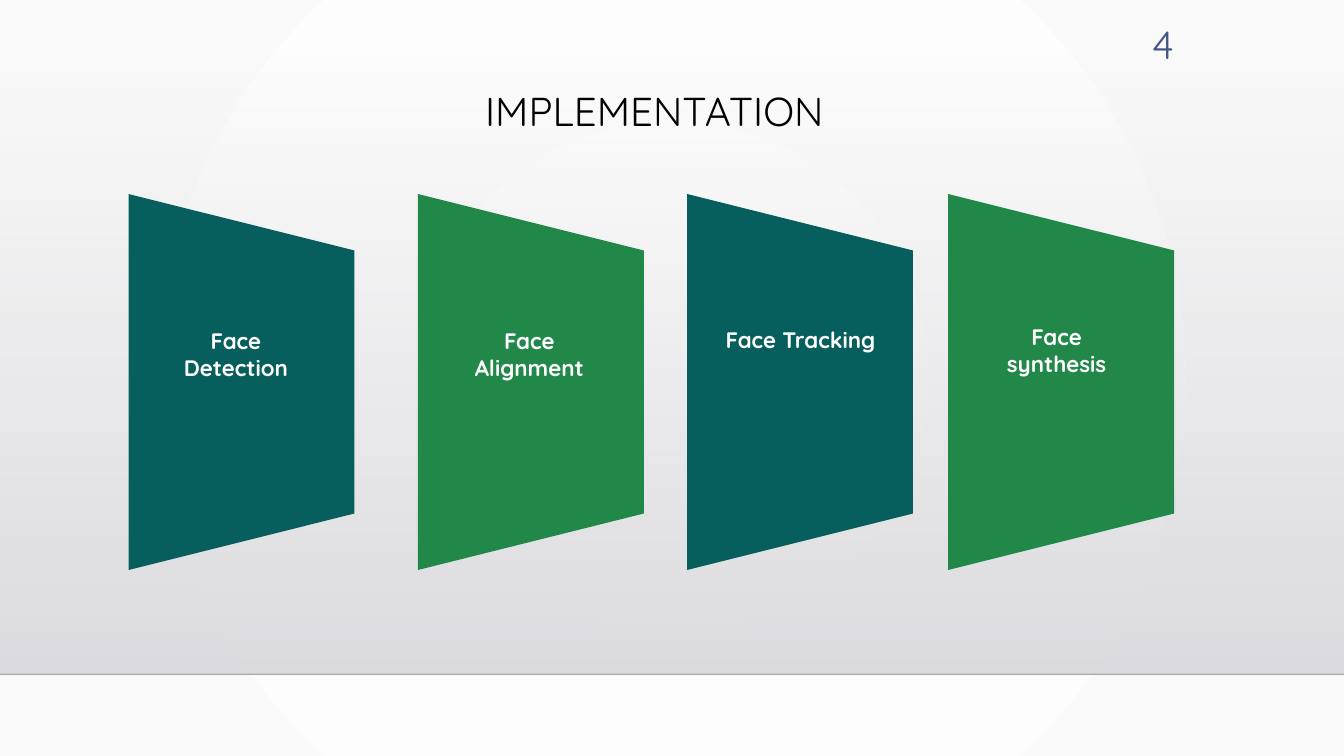
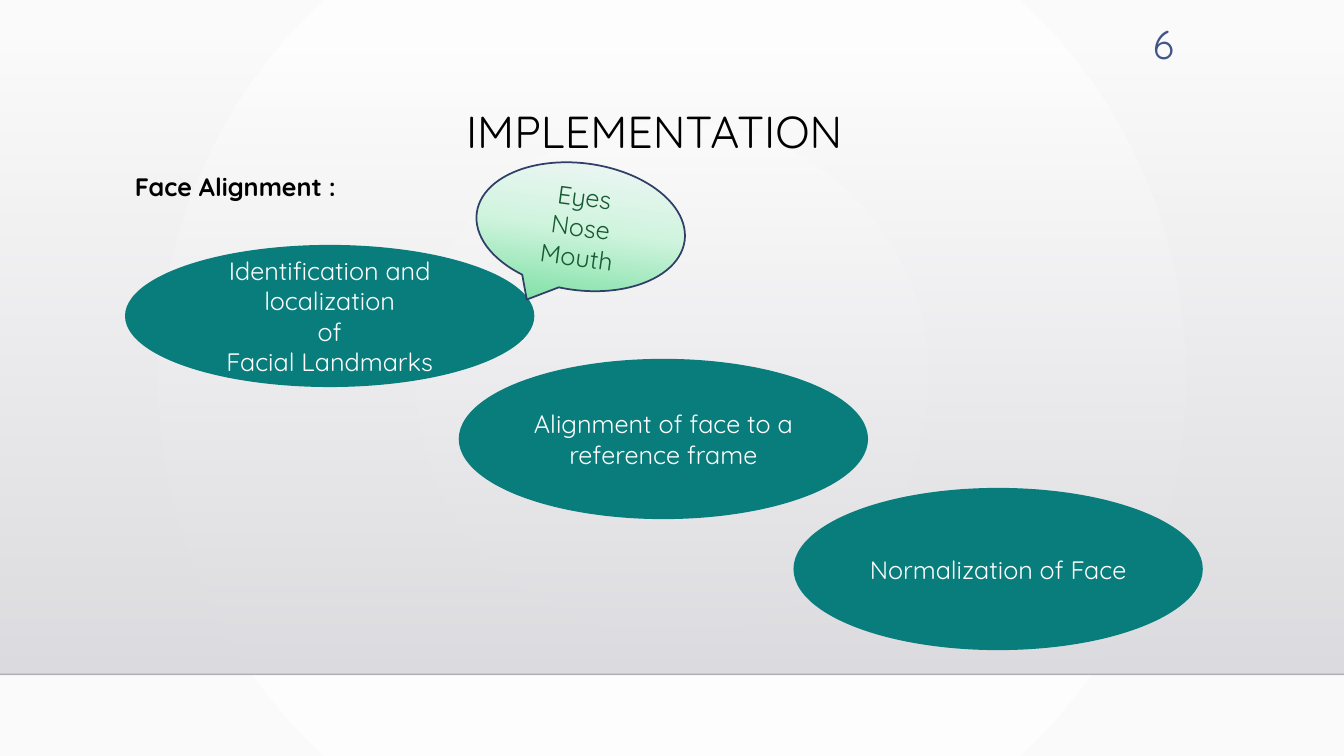
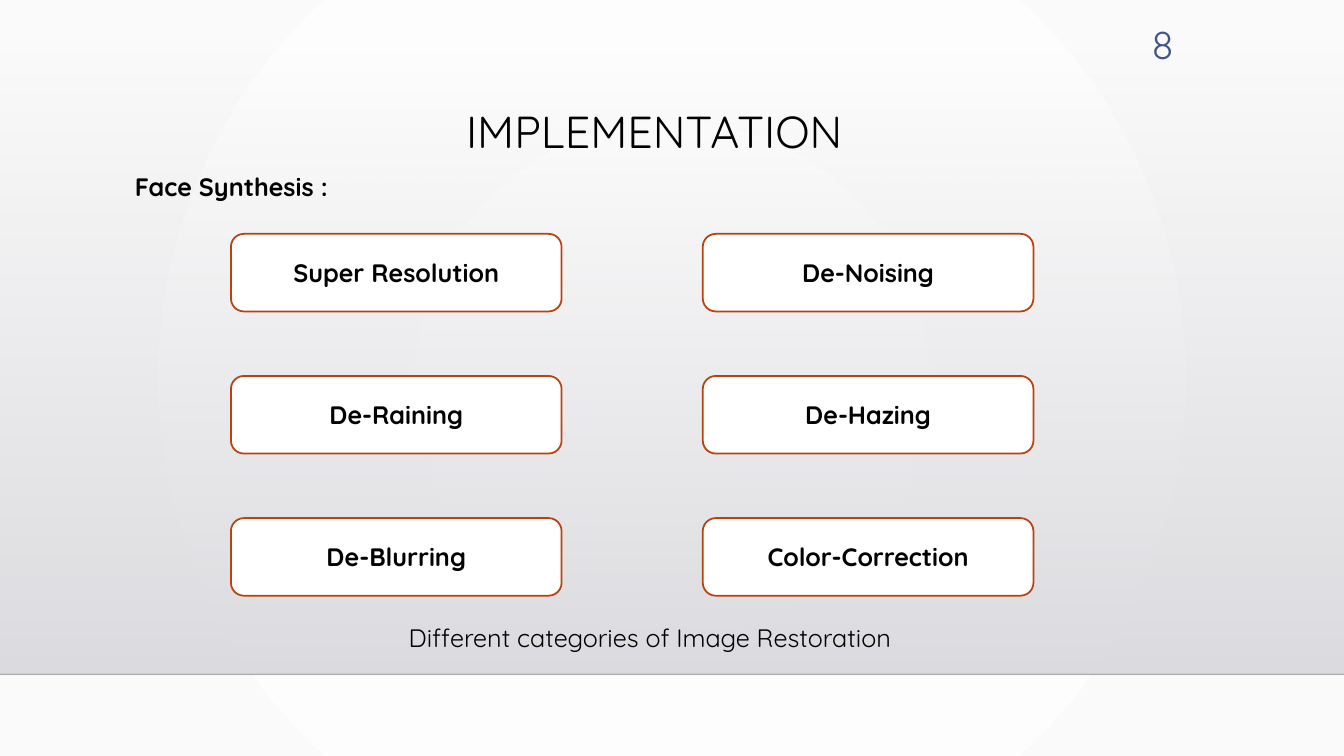
from dataclasses import dataclass
from itertools import product
from typing import Any

from lxml.etree import SubElement
from pptx import Presentation
from pptx.dml.color import RGBColor
from pptx.enum.shapes import MSO_CONNECTOR as Connector, MSO_SHAPE as Shape
from pptx.enum.text import MSO_ANCHOR as Anchor, PP_ALIGN as Align
from pptx.oxml.ns import qn
from pptx.util import Inches, Pt

FONT = "Quicksand"
BLACK, WHITE = "000000", "FFFFFF"
DARK_TEAL, GREEN, TEAL = "065E5D", "21884A", "087D7C"
PAGE_BLUE, RUST, NAVY, LEAF = "415588", "BC410A", "303F65", "165B32"
SLIDE_WIDTH, SLIDE_HEIGHT = 13.33, 7.5
BAND_TOP, BAND_HEIGHT = 0.51, 6.18
INSET, INSET_TOP = 0.1, 0.05


@dataclass(frozen=True)
class Box:
    left: float
    top: float
    width: float
    height: float

    def lengths(self) -> tuple:
        return tuple(Inches(n) for n in (self.left, self.top, self.width, self.height))


@dataclass(frozen=True)
class TextStyle:
    size: float = 18
    color: str = BLACK
    bold: bool = False
    align: Align = Align.CENTER
    spacing: float = 1.0


@dataclass(frozen=True)
class Stop:
    position: int
    color: str
    opacity: int = 100


@dataclass(frozen=True)
class Stage:
    left: float
    color: str
    label: str
    label_left: float
    label_top: float


@dataclass(frozen=True)
class Step:
    box: Box
    text: str


HEADING = TextStyle(bold=True, align=Align.LEFT)
PAGE_NUMBER = TextStyle(28, PAGE_BLUE, align=Align.RIGHT)
STAGE_LABEL = TextStyle(16, WHITE, bold=True)
STEP_TEXT = TextStyle(color=WHITE)

BACKGROUND = (Stop(0, WHITE), Stop(100, "FAFAFA"))
BAND = (Stop(0, "DCDCE0", 0), Stop(100, "DEDEE2"))
MINT = (Stop(0, "F5F6FA"), Stop(50, "D1F4DF"), Stop(100, "76DE9F"))

STAGES = (
    Stage(0.53, DARK_TEAL, "Face Detection", 1.59, 3.25),
    Stage(3.4, GREEN, "Face Alignment", 4.5, 3.25),
    Stage(6.07, DARK_TEAL, "Face Tracking", 7.19, 3.24),
    Stage(8.66, GREEN, "Face synthesis", 9.73, 3.21),
)
STEPS = (
    Step(Box(1.24, 2.43, 4.06, 1.41),
         "Identification and localization\nof\nFacial Landmarks"),
    Step(Box(4.55, 3.56, 4.06, 1.59), "Alignment of face to a reference frame"),
    Step(Box(7.87, 4.84, 4.06, 1.61), "Normalization of Face"),
)
CATEGORIES = ("Super Resolution", "De-Noising", "De-Raining",
              "De-Hazing", "De-Blurring", "Color-Correction")


def rgb(color: str) -> RGBColor:
    return RGBColor.from_string(color)


def apply(target: Any, values: dict) -> None:
    for name, value in values.items():
        setattr(target, name, value)


def fill_gradient(owner: Any, fill: Any, stops: tuple, radial: bool = False) -> None:
    """Fill with stops running downwards, or outwards from the centre if radial."""
    fill.gradient()
    gradient = next(owner.element.iter(qn("a:gradFill")))
    for child in list(gradient):
        gradient.remove(child)
    stop_list = SubElement(gradient, qn("a:gsLst"))
    for stop in stops:
        mark = SubElement(stop_list, qn("a:gs"), pos=str(stop.position * 1000))
        color = SubElement(mark, qn("a:srgbClr"), val=stop.color)
        if stop.opacity < 100:
            SubElement(color, qn("a:alpha"), val=str(stop.opacity * 1000))
    if radial:
        circle = SubElement(gradient, qn("a:path"), path="circle")
        SubElement(circle, qn("a:fillToRect"), l="50000", t="50000", r="50000", b="50000")
    else:
        SubElement(gradient, qn("a:lin"), ang="5400000", scaled="0")


def write(shape: Any, text: str, style: TextStyle, anchor: Anchor,
          inset: float = INSET, inset_top: float = INSET_TOP) -> None:
    frame = shape.text_frame
    apply(frame, {
        "text": text, "word_wrap": True, "vertical_anchor": anchor,
        "margin_left": Inches(inset), "margin_right": Inches(inset),
        "margin_top": Inches(inset_top), "margin_bottom": Inches(inset_top),
    })
    for paragraph in frame.paragraphs:
        apply(paragraph, {"alignment": style.align, "line_spacing": style.spacing})
        for run in paragraph.runs:
            apply(run.font, {"name": FONT, "size": Pt(style.size), "bold": style.bold})
            run.font.color.rgb = rgb(style.color)


def add_text(slide: Any, box: Box, text: str, style: TextStyle, **insets: float) -> None:
    write(slide.shapes.add_textbox(*box.lengths()), text, style, Anchor.TOP, **insets)


def add_figure(slide: Any, kind: Shape, box: Box, fill: str | tuple,
               line: str = "", text: str = "", style: TextStyle = TextStyle()) -> Any:
    """Add a preset shape; a tuple of stops as fill gives a gradient."""
    shape = slide.shapes.add_shape(kind, *box.lengths())
    shape.shadow.inherit = False
    if isinstance(fill, tuple):
        fill_gradient(shape, shape.fill, fill)
    else:
        shape.fill.solid()
        shape.fill.fore_color.rgb = rgb(fill)
    if line:
        shape.line.color.rgb = rgb(line)
        shape.line.width = Pt(1.25)
    else:
        shape.line.fill.background()
    if text:
        write(shape, text, style, Anchor.MIDDLE)
    return shape


def add_rule(slide: Any, top: float) -> None:
    """Add a faint line across the whole slide."""
    rule = slide.shapes.add_connector(
        Connector.STRAIGHT, Inches(0), Inches(top), Inches(SLIDE_WIDTH), Inches(top))
    rule.line.color.rgb = rgb("000001")
    rule.line.width = Pt(1)
    color = next(rule.element.iter(qn("a:srgbClr")))
    SubElement(color, qn("a:alpha"), val="20000")
    SubElement(rule.element.spPr, qn("a:effectLst"))


def add_slide(presentation: Any, number: int, title_top: float = 1.04,
              title_size: float = 32, heading: str = "") -> Any:
    """Add a slide with the shared background, band, title and page number."""
    slide = presentation.slides.add_slide(presentation.slide_layouts[6])
    fill_gradient(slide, slide.background.fill, BACKGROUND, radial=True)
    add_figure(slide, Shape.RECTANGLE, Box(0, BAND_TOP, SLIDE_WIDTH, BAND_HEIGHT), BAND)
    add_rule(slide, BAND_TOP + BAND_HEIGHT)
    add_text(slide, Box(1.24, title_top, 10.5, 0.6), "IMPLEMENTATION",
             TextStyle(title_size, spacing=0.9))
    add_text(slide, Box(10.85, 0.15, 0.89, 0.55), str(number), PAGE_NUMBER)
    if heading:
        add_text(slide, Box(1.24, 1.65, 10.41, 0.4), heading, HEADING)
    return slide


def build_stages(presentation: Any) -> None:
    slide = add_slide(presentation, 4, title_top=0.86, title_size=28.8)
    for stage in STAGES:
        panel = add_figure(slide, Shape.TRAPEZOID, Box(stage.left, 2.67, 3.73, 2.24),
                           stage.color)
        panel.rotation = 90
    for stage in STAGES:
        add_text(slide, Box(stage.label_left, stage.label_top, 1.5, 0.54), stage.label,
                 STAGE_LABEL, inset=0, inset_top=0)


def build_alignment(presentation: Any) -> None:
    slide = add_slide(presentation, 6, heading="Face Alignment :")
    for step in STEPS:
        add_figure(slide, Shape.OVAL, step.box, TEAL, text=step.text, style=STEP_TEXT)
    callout = add_figure(slide, Shape.OVAL_CALLOUT, Box(4.72, 1.62, 2.08, 1.26), MINT,
                         NAVY, "Eyes\nNose\nMouth", TextStyle(color=LEAF))
    callout.rotation = 7.7


def build_synthesis(presentation: Any) -> None:
    slide = add_slide(presentation, 8, heading="Face Synthesis :")
    for (row, column), category in zip(product(range(3), range(2)), CATEGORIES):
        box = Box(2.29 + 4.68 * column, 2.32 + 1.41 * row, 3.28, 0.77)
        add_figure(slide, Shape.ROUNDED_RECTANGLE, box, WHITE, RUST, category,
                   TextStyle(bold=True))
    add_text(slide, Box(1.24, 6.12, 10.41, 0.4),
             "Different categories of Image Restoration", TextStyle())


def main() -> None:
    presentation = Presentation()
    apply(presentation, {"slide_width": Inches(SLIDE_WIDTH),
                         "slide_height": Inches(SLIDE_HEIGHT)})
    for build in (build_stages, build_alignment, build_synthesis):
        build(presentation)
    presentation.save("out.pptx")


if __name__ == "__main__":
    main()
